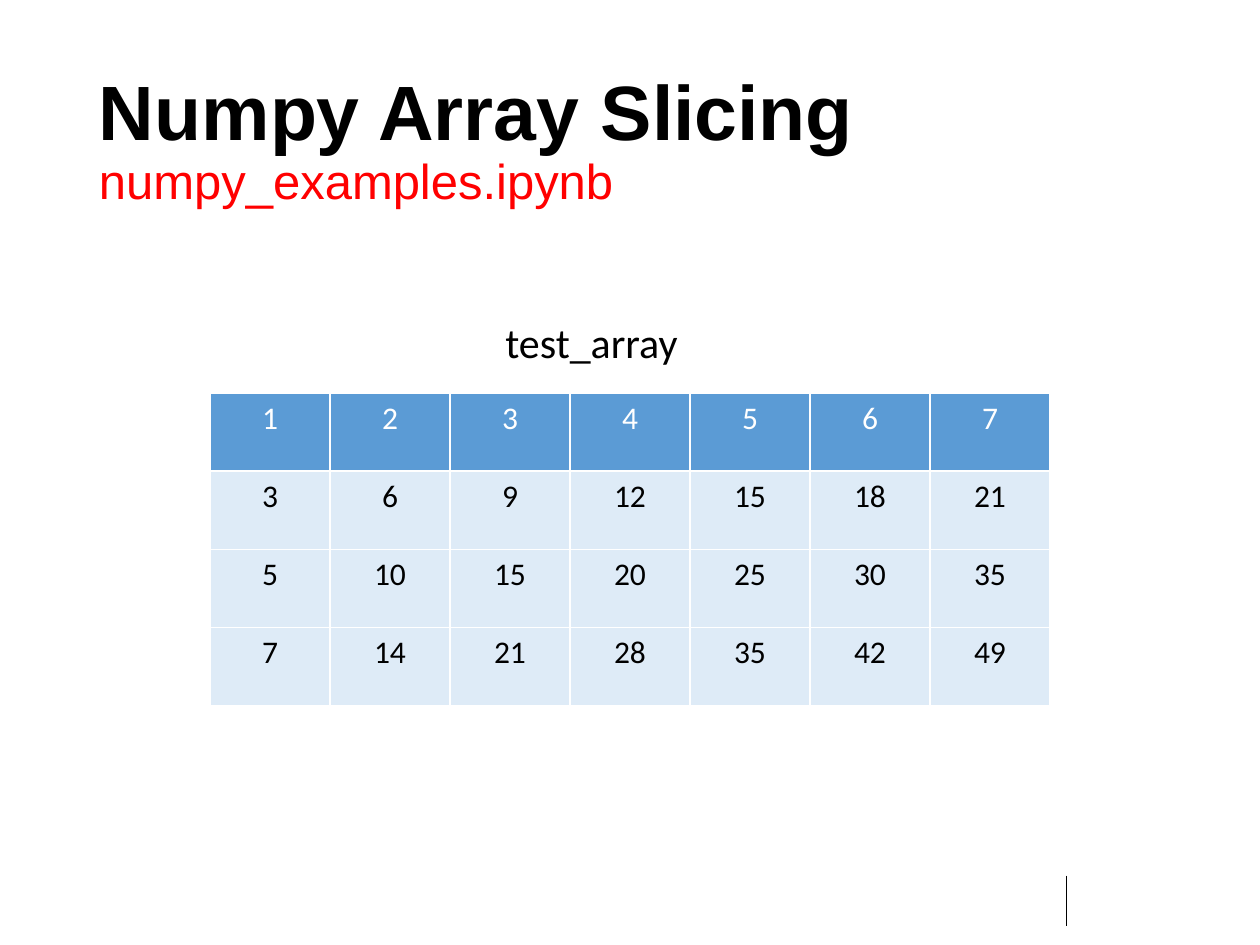
from lxml import etree
from pptx import Presentation
from pptx.dml.color import RGBColor
from pptx.enum.shapes import MSO_CONNECTOR
from pptx.enum.text import MSO_ANCHOR, PP_ALIGN
from pptx.oxml.ns import qn
from pptx.util import Pt

CENTER = PP_ALIGN.CENTER
MIDDLE = MSO_ANCHOR.MIDDLE
STRAIGHT = MSO_CONNECTOR.STRAIGHT

BLACK, WHITE, RED = "000000", "FFFFFF", "FF0000"
BLUE, PALE = "5B9BD5", "DEEBF7"
EDGES = ("a:lnL", "a:lnR", "a:lnT", "a:lnB")


def color(code):
    return RGBColor.from_string(code)


def style(font, name, size, code, bold=False):
    font.name = name
    font.size = Pt(size)
    font.bold = bold
    font.color.rgb = color(code)


def add_box(slide, left, top, width, height):
    box = slide.shapes.add_textbox(Pt(left), Pt(top), Pt(width), Pt(height))
    box.text_frame.word_wrap = True
    return box.text_frame


def add_title(slide, left, top, width, height):
    frame = add_box(slide, left, top, width, height)
    frame.vertical_anchor = MIDDLE
    para = frame.paragraphs[0]
    para.line_spacing = 0.9
    head = para.add_run()
    head.text = "Numpy Array Slicing"
    style(head.font, "Arial", 44, BLACK, bold=True)
    para.add_line_break()
    file = para.add_run()
    file.text = "numpy_examples.ipynb"
    style(file.font, "Arial", 28, RED)


def add_label(slide, left, top, width, height):
    para = add_box(slide, left, top, width, height).paragraphs[0]
    para.text = "test_array"
    para.alignment = CENTER
    style(para.font, "Calibri", 24, BLACK)


def set_edges(cell, code, width):
    """Draw a solid border on all four sides; call before setting the fill."""
    props = cell._tc.get_or_add_tcPr()
    for edge in EDGES:
        line = etree.SubElement(props, qn(edge), w=str(Pt(width)))
        fill = etree.SubElement(line, qn("a:solidFill"))
        etree.SubElement(fill, qn("a:srgbClr"), val=code)


def add_array(slide, left, top, width, height):
    """Table of the products of odd factors (rows) and 1 to 7 (columns)."""
    odds, cols = (1, 3, 5, 7), range(1, 8)
    table = slide.shapes.add_table(len(odds), len(cols), Pt(left), Pt(top),
                                   Pt(width), Pt(height)).table
    for row, odd in enumerate(odds):
        for col, num in enumerate(cols):
            cell = table.cell(row, col)
            set_edges(cell, WHITE, 1)
            cell.fill.solid()
            cell.fill.fore_color.rgb = color(PALE if row else BLUE)
            para = cell.text_frame.paragraphs[0]
            para.text = str(odd * num)
            para.alignment = CENTER
            style(para.font, "Calibri", 18, BLACK if row else WHITE)


def add_rule(slide, left, top, height):
    rule = slide.shapes.add_connector(STRAIGHT, Pt(left), Pt(top),
                                      Pt(left), Pt(top + height))
    rule.line.color.rgb = color(BLACK)
    rule.line.width = Pt(0.5)
    etree.SubElement(rule._element.spPr, qn("a:effectLst"))


def main():
    deck = Presentation()
    deck.slide_width, deck.slide_height = Pt(720), Pt(540)
    slide = deck.slides.add_slide(deck.slide_layouts[6])
    add_rule(slide, 609.3, 500.4, 28.8)
    add_title(slide, 49.5, 28.75, 621, 104.4)
    add_array(slide, 120, 224.6, 480, 178.6)
    add_label(slide, 156.2, 177.1, 363.6, 36.3)
    deck.save("out.pptx")


if __name__ == "__main__":
    main()
